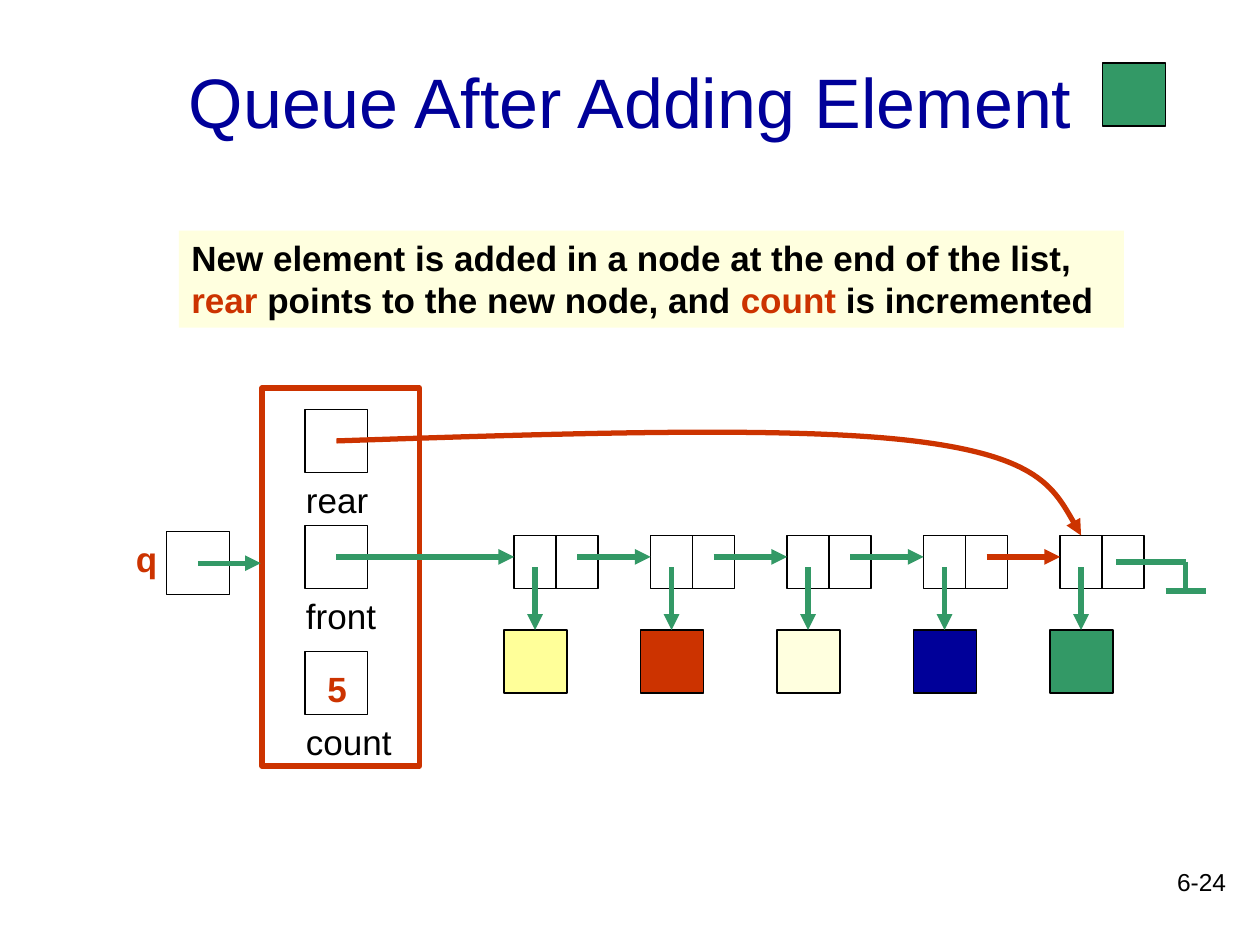
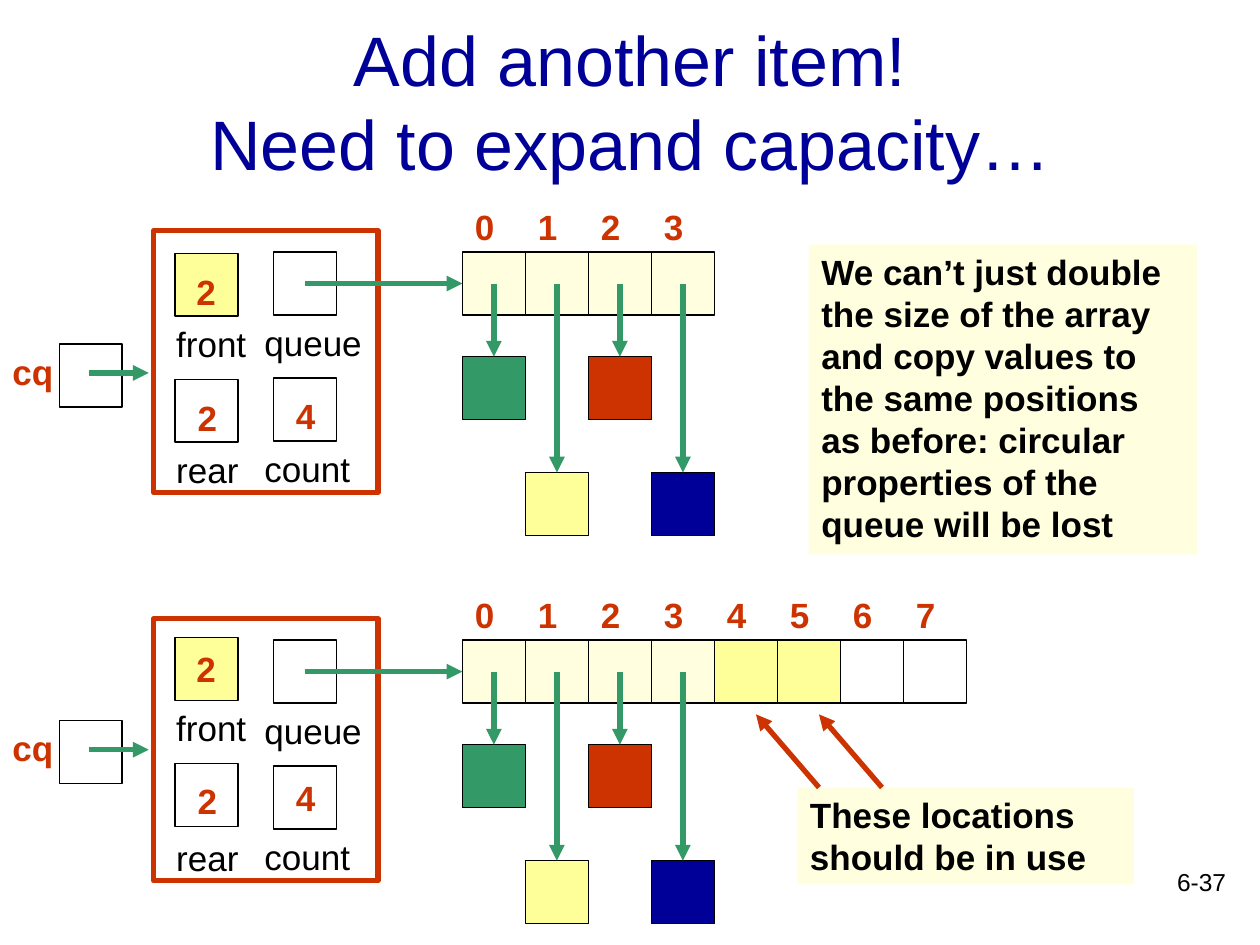
from lxml import etree
from pptx import Presentation
from pptx import util as u
from pptx.dml.color import RGBColor
from pptx.enum import shapes, text
from pptx.oxml import ns

FONT = "Arial"
BLACK = RGBColor(0x00, 0x00, 0x00)
NAVY = RGBColor(0x00, 0x00, 0x99)
RED = RGBColor(0xCC, 0x33, 0x00)
GREEN = RGBColor(0x33, 0x99, 0x66)
YELLOW = RGBColor(0xFF, 0xFF, 0x99)
CREAM = RGBColor(0xFF, 0xFF, 0xDF)
CELL = 0.5
HALF = CELL / 2


def inches(*sizes):
    return [u.Inches(size) for size in sizes]


def style(para, size, color, bold=False):
    para.font.name = FONT
    para.font.size = u.Pt(size)
    para.font.bold = bold
    para.font.color.rgb = color


def label(slide, words, left, top, width=1, height=0.43, size=20,
          color=BLACK, bold=False, align=text.PP_ALIGN.LEFT):
    box = slide.shapes.add_textbox(*inches(left, top, width, height))
    box.text_frame.word_wrap = True
    para = box.text_frame.paragraphs[0]
    para.text = words
    para.alignment = align
    style(para, size, color, bold)
    return box


def value(slide, words, left, top, width=0.58):
    label(slide, words, left, top, width, color=RED, bold=True)


def note(slide, parts, left, top, width, height):
    box = label(slide, "", left, top, width, height, bold=True)
    box.fill.solid()
    box.fill.fore_color.rgb = CREAM
    for words, color in parts:
        run = box.text_frame.paragraphs[0].add_run()
        run.text = words
        run.font.color.rgb = color


def rect(slide, left, top, width=CELL, height=CELL, fill=None,
         color=BLACK, weight=0.75):
    shape = slide.shapes.add_shape(
        shapes.MSO_SHAPE.RECTANGLE, *inches(left, top, width, height))
    shape.shadow.inherit = False
    if fill is None:
        shape.fill.background()
    else:
        shape.fill.solid()
        shape.fill.fore_color.rgb = fill
    shape.line.color.rgb = color
    shape.line.width = u.Pt(weight)


def frame(slide, left, top, width, height):
    rect(slide, left, top, width, height, color=RED, weight=3)


def stroke(shape, color, head):
    shape.line.color.rgb = color
    shape.line.width = u.Pt(3)
    if head:
        tail = etree.SubElement(shape.line._get_or_add_ln(), ns.qn("a:tailEnd"))
        tail.set("type", "triangle")


def arrow(slide, x1, y1, x2, y2, color=GREEN, head=True):
    line = slide.shapes.add_connector(
        shapes.MSO_CONNECTOR.STRAIGHT, *inches(x1, y1, x2, y2))
    stroke(line, color, head)
    etree.SubElement(line._element.spPr, ns.qn("a:effectLst"))


def curve(slide, start, points, color):
    pen = slide.shapes.build_freeform(*inches(*start))
    pen.add_line_segments([inches(*point) for point in points], close=False)
    shape = pen.convert_to_shape()
    shape.shadow.inherit = False
    shape.fill.background()
    route = shape._element.find(".//" + ns.qn("a:path"))
    steps = route.findall(ns.qn("a:lnTo"))
    for i in range(0, len(steps), 3):
        bend = etree.SubElement(route, ns.qn("a:cubicBezTo"))
        for step in steps[i:i + 3]:
            bend.append(step[0])
            route.remove(step)
    stroke(shape, color, True)


def start(deck, title, number):
    slide = deck.slides.add_slide(deck.slide_layouts[6])
    label(slide, number, 7.75, 6.83, 2.08, 0.5, size=14,
          align=text.PP_ALIGN.RIGHT)
    box = label(slide, title, 0.75, 0.17, 8.5, 1.25, size=40, color=NAVY,
                align=text.PP_ALIGN.CENTER)
    box.text_frame.vertical_anchor = text.MSO_ANCHOR.MIDDLE
    return slide


def node(slide, left, fill):
    for side in (left, left + 1 / 3):
        rect(slide, side, 4.25, 1 / 3, 0.42)
    rect(slide, left - 0.08, 5, fill=fill)
    arrow(slide, left + 1 / 6, 4.5, left + 1 / 6, 5)


def ground(slide):
    for ends in ((8.86, 4.46, 9.41, 4.46), (9.41, 4.46, 9.41, 4.69),
                 (9.25, 4.69, 9.57, 4.69)):
        arrow(slide, *ends, head=False)


def linked(deck):
    slide = start(deck, "Queue After Adding Element", "6-24")
    rect(slide, 8.75, 0.5, fill=GREEN)
    note(slide, [("New element is added in a node at the end of the list, ", BLACK),
                 ("rear", RED), (" points to the new node, and ", BLACK),
                 ("count", RED), (" is incremented", BLACK)],
         1.42, 1.83, 7.5, 0.77)

    frame(slide, 2.08, 3.08, 1.25, 3)
    for name, top in (("rear", 3.25), ("front", 4.17), ("count", 5.17)):
        rect(slide, 2.42, top)
        label(slide, name, 2.33, top + CELL)
    value(slide, "5", 2.5, 5.25)

    value(slide, "q", 0.98, 4.22)
    rect(slide, 1.32, 4.22)
    arrow(slide, 1.57, 4.47, 2.07, 4.47)

    fills = [YELLOW, RED, CREAM, NAVY, GREEN]
    lefts = [4.08 + i * 13 / 12 for i in range(len(fills))]
    for left, fill in zip(lefts, fills):
        node(slide, left, fill)
    arrow(slide, 2.67, 4.42, lefts[0], 4.42)
    for left, after in zip(lefts, lefts[1:]):
        color = RED if after == lefts[-1] else GREEN
        arrow(slide, left + 0.5, 4.42, after, 4.42, color)
    curve(slide, (2.67, 3.5),
          [(4.47, 3.44), (6.26, 3.38), (7.25, 3.5),
           (8.24, 3.62), (8.41, 3.94), (8.58, 4.25)], RED)
    ground(slide)


def fields(slide, top, side, last, call, tops):
    frame(slide, 1.22, top - 0.17, 1.78, 2.08)
    rect(slide, 1.39, side, fill=YELLOW)
    rect(slide, 1.39, side + 1)
    label(slide, "front", 1.3, side + CELL)
    label(slide, "rear", 1.3, last)
    for name, row in (("queue", top), ("count", top + 1)):
        rect(slide, 2.17, row)
        label(slide, name, 2, row + CELL)
    for words, left, row in zip("224", (1.46, 1.47, 2.25), tops):
        value(slide, words, left, row)
    value(slide, "cq", 0, call, 0.94)
    rect(slide, 0.47, call)
    arrow(slide, 0.71, call + 0.23, 1.18, call + 0.23)


def array(slide, top, fills):
    for i, fill in enumerate(fills):
        left = 3.67 + i * CELL
        value(slide, str(i), left, top - 0.42)
        rect(slide, left, top, fill=fill)
    for i, fill in enumerate((GREEN, YELLOW, RED, NAVY)):
        left = 3.67 + i * CELL
        drop = top + (1.75 if i % 2 else 0.83)
        rect(slide, left, drop, fill=fill)
        arrow(slide, left + HALF, top + HALF, left + HALF, drop)
    arrow(slide, 2.42, top + HALF, 3.67, top + HALF)


def circular(deck):
    slide = start(deck, "Add another item!\vNeed to expand capacity…", "6-37")
    fields(slide, 2, 2.01, 3.51, 2.73, (2.1, 3.1, 3.08))
    array(slide, 2, [CREAM] * 4)
    fields(slide, 5.08, 5.06, 6.59, 5.72, (5.09, 6.14, 6.11))
    array(slide, 5.08, [CREAM] * 4 + [YELLOW] * 2 + [None] * 2)

    note(slide, [("We can’t just double the size of the array and copy values "
                  "to the same positions as before: circular properties of "
                  "the queue will be lost", BLACK)], 6.42, 1.94, 3.08, 2.46)
    note(slide, [("These locations should be in use", BLACK)],
         6.33, 6.25, 2.67, 0.77)
    for left in (6, 6.5):
        arrow(slide, left + CELL, 6.25, left, 5.67, RED)


def main():
    deck = Presentation()
    deck.slide_width, deck.slide_height = inches(10, 7.5)
    linked(deck)
    circular(deck)
    deck.save("out.pptx")


if __name__ == "__main__":
    main()
